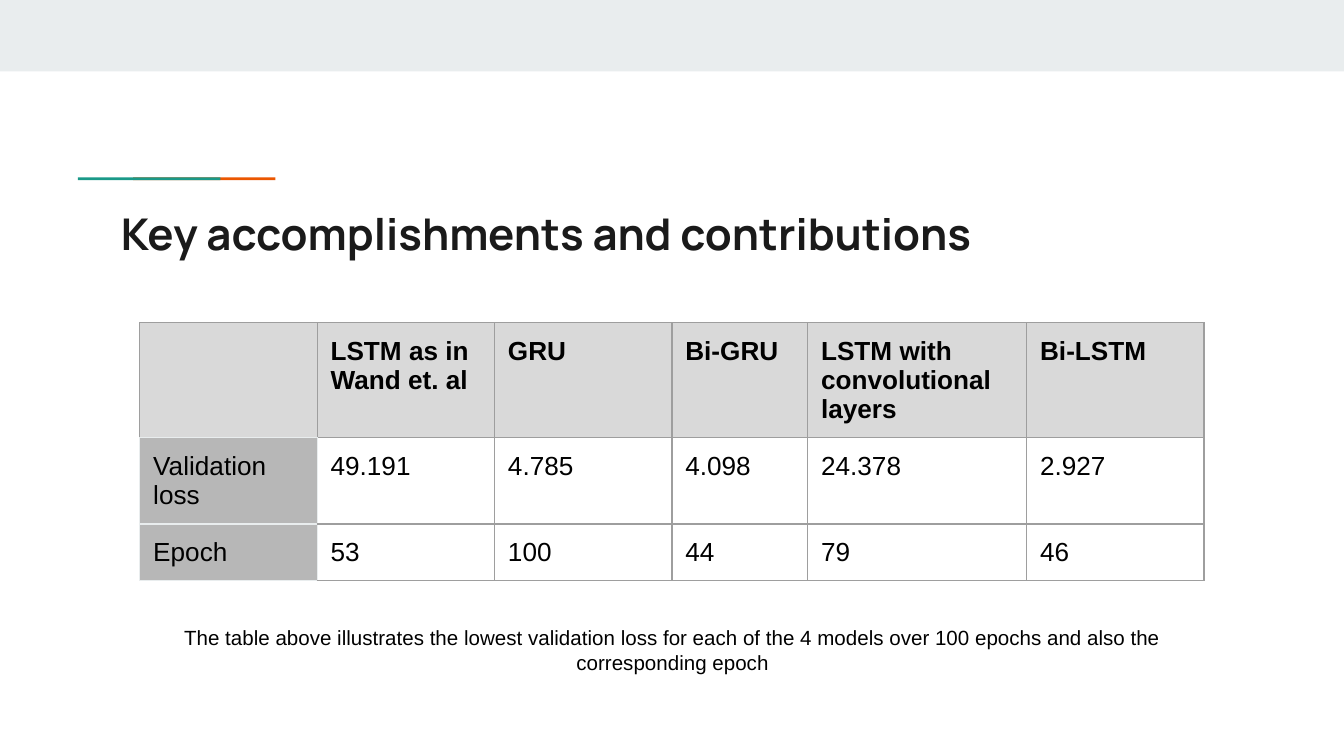
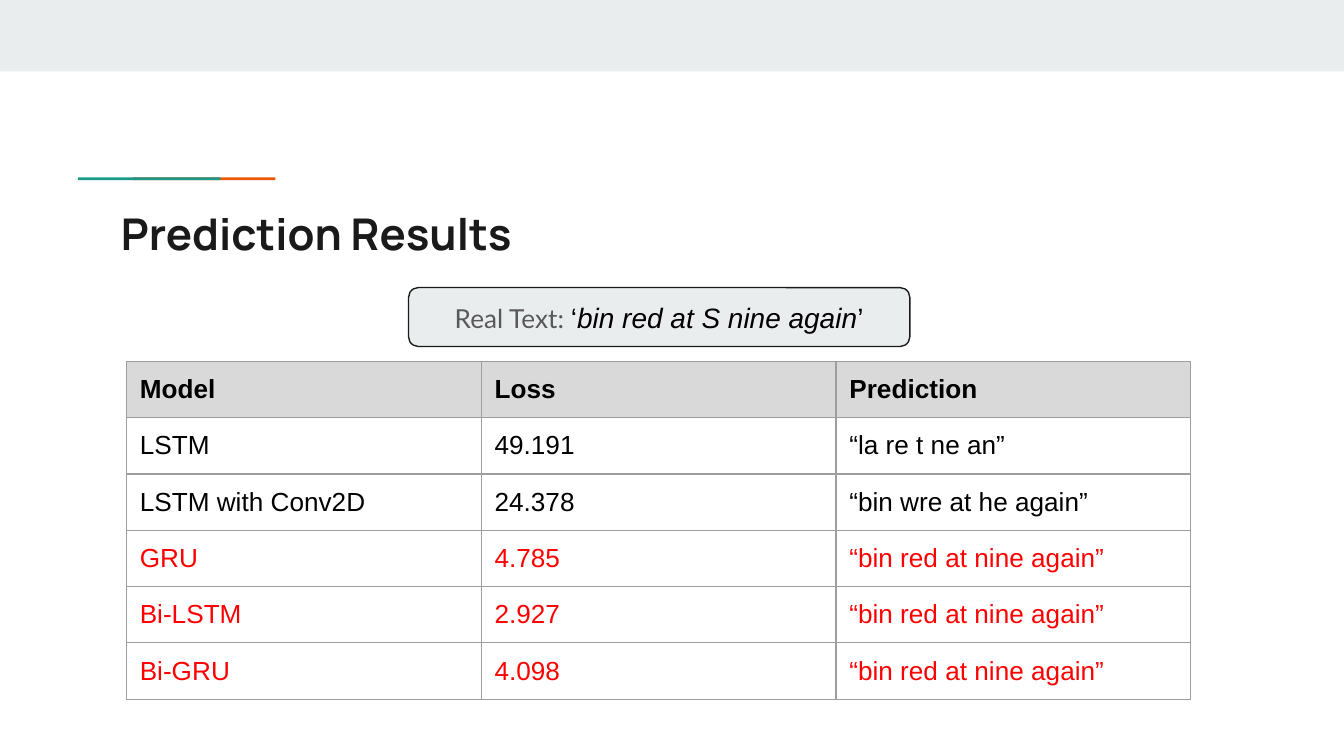
from lxml import etree
from pptx import Presentation
from pptx.dml.color import RGBColor
from pptx.enum.shapes import MSO_SHAPE
from pptx.enum.text import MSO_ANCHOR, MSO_AUTO_SIZE, PP_ALIGN
from pptx.oxml.ns import qn
from pptx.util import Inches, Pt

RECTANGLE, ROUNDED = MSO_SHAPE.RECTANGLE, MSO_SHAPE.ROUNDED_RECTANGLE
TOP, MIDDLE = MSO_ANCHOR.TOP, MSO_ANCHOR.MIDDLE
LEFT, CENTER = PP_ALIGN.LEFT, PP_ALIGN.CENTER
FIXED = MSO_AUTO_SIZE.NONE

PALE = RGBColor(0xE9, 0xED, 0xEE)
ORANGE = RGBColor(0xEB, 0x56, 0x00)
TEAL = RGBColor(0x1A, 0x99, 0x88)
INK = RGBColor(0x1A, 0x1A, 0x1A)
BLACK = RGBColor(0x00, 0x00, 0x00)
RED = RGBColor(0xFF, 0x00, 0x00)
SLATE = RGBColor(0x59, 0x59, 0x59)
HEADER_GREY = RGBColor(0xD9, 0xD9, 0xD9)
LABEL_GREY = RGBColor(0xB7, 0xB7, 0xB7)
RULE_GREY = RGBColor(0x9E, 0x9E, 0x9E)

deck = Presentation()
deck.slide_width, deck.slide_height = Inches(10), Inches(5.625)

# Grid: one hundred columns and one hundred rows
COL = deck.slide_width // 100
ROW = deck.slide_height // 100
MARGIN = Inches(0.1)


def write(frame, runs, align=LEFT, anchor=TOP):
    """Fill a text frame or table cell; runs are (text, font, size, colour, style)."""
    frame.margin_left = frame.margin_right = MARGIN
    frame.margin_top = frame.margin_bottom = MARGIN
    frame.vertical_anchor = anchor
    frame.word_wrap = True
    para = frame.paragraphs[0]
    para.alignment = align
    for text, font, size, colour, style in runs:
        span = para.add_run()
        span.text = text
        span.font.name, span.font.size = font, Pt(size)
        span.font.color.rgb = colour
        span.font.bold = style == "bold"
        span.font.italic = style == "italic"


def add_grid(page, left, top, widths, heights, rows, labelled=False, red_from=None):
    """Table with a grey header, optional label column and red closing rows."""
    frame = page.shapes.add_table(
        len(rows), len(widths), int(left * COL), int(top * ROW),
        int(sum(widths) * COL), int(sum(heights) * ROW))
    table = frame.table
    table.first_row = table.horz_banding = False
    for column, width in zip(table.columns, widths):
        column.width = int(width * COL)
    for y, texts in enumerate(rows):
        table.rows[y].height = int(heights[y] * ROW)
        for x, text in enumerate(texts):
            cell = table.cell(y, x)
            is_label = labelled and x == 0 and y > 0
            colour = RED if red_from is not None and y >= red_from else BLACK
            style = "bold" if y == 0 else None
            runs = [(text, "Arial", 14, colour, style)] if text else []
            write(cell.text_frame, runs)
            cell.margin_left = cell.margin_right = MARGIN
            cell.margin_top = cell.margin_bottom = MARGIN
            if y == 0 or is_label:
                cell.fill.solid()
                cell.fill.fore_color.rgb = LABEL_GREY if is_label else HEADER_GREY
            else:
                cell.fill.background()
            # Borders come before the fill in the cell properties
            pale_sides = ()
            if is_label:
                pale_sides = ("lnL", "lnR", "lnT", "lnB")
            elif labelled and x == 0:
                pale_sides = ("lnB",)
            elif labelled and x == 1 and y > 0:
                pale_sides = ("lnL",)
            properties = cell._tc.get_or_add_tcPr()
            for index, side in enumerate(("lnL", "lnR", "lnT", "lnB")):
                line = etree.Element(qn("a:" + side), w=str(Pt(0.75)))
                solid = etree.SubElement(line, qn("a:solidFill"))
                etree.SubElement(solid, qn("a:srgbClr"),
                                 val=str(PALE if side in pale_sides else RULE_GREY))
                properties.insert(index, line)


# Shared parts: band, two-colour accent and title
pages = []
for heading in ("Key accomplishments and contributions", "Prediction Results"):
    page = deck.slides.add_slide(deck.slide_layouts[5])
    pages.append(page)
    for left, top, width, height, colour in (
            (0, 0, 100, 9.45, PALE),
            (9.9, 23.45, 10.6, 0.4, ORANGE),
            (5.8, 23.45, 10.6, 0.4, TEAL)):
        box = page.shapes.add_shape(RECTANGLE, int(left * COL), int(top * ROW),
                                    int(width * COL), int(height * ROW))
        box.shadow.inherit = False
        box.fill.solid()
        box.fill.fore_color.rgb = colour
        box.line.fill.background()
    title = page.shapes.title
    title.left, title.top = 8 * COL, int(25.6 * ROW)
    title.width, title.height = 84 * COL, int(10.5 * ROW)
    write(title.text_frame, [(heading, "Manrope", 23.4, INK, "bold")])
    title.text_frame.auto_size = FIXED

accomplishments, predictions = pages

# Slide 1: validation loss by model, with its caption
add_grid(accomplishments, 10.4, 42.7, (13.2, 13.2, 13.2, 10.1, 16.3, 13.2),
         (15.1, 11.4, 7.45), (
    ("", "LSTM as in Wand et. al", "GRU", "Bi-GRU",
     "LSTM with convolutional layers", "Bi-LSTM"),
    ("Validation loss", "49.191", "4.785", "4.098", "24.378", "2.927"),
    ("Epoch", "53", "100", "44", "79", "46"),
), labelled=True)

caption = accomplishments.shapes.add_textbox(
    int(10.2 * COL), int(80.9 * ROW), int(79.7 * COL), int(10.1 * ROW))
write(caption.text_frame, [(
    "The table above illustrates the lowest validation loss for each of the 4 models "
    "over 100 epochs and also the corresponding epoch",
    "Arial", 11, BLACK, None)], CENTER)

# Slide 2: predictions by model, under the real text
add_grid(predictions, 9.4, 47.8, (26.4,) * 3, (7.43,) * 6, (
    ("Model", "Loss", "Prediction"),
    ("LSTM", "49.191", "“la re t ne an”"),
    ("LSTM with Conv2D", "24.378", "“bin wre at he again”"),
    ("GRU", "4.785", "“bin red at nine again”"),
    ("Bi-LSTM", "2.927", "“bin red at nine again”"),
    ("Bi-GRU", "4.098", "“bin red at nine again”"),
), red_from=3)

real_text = predictions.shapes.add_shape(
    ROUNDED, int(30.4 * COL), int(38.05 * ROW), int(37.3 * COL), int(7.8 * ROW))
real_text.shadow.inherit = False
real_text.fill.solid()
real_text.fill.fore_color.rgb = PALE
real_text.line.color.rgb = INK
real_text.line.width = Pt(0.75)
write(real_text.text_frame, [
    ("Real Text: ", "Lato", 14, SLATE, None),
    ("‘", "Arial", 15, BLACK, None),
    ("bin red at S nine again", "Arial", 15, BLACK, "italic"),
    ("’", "Arial", 15, BLACK, None),
], CENTER, MIDDLE)

deck.save("out.pptx")
